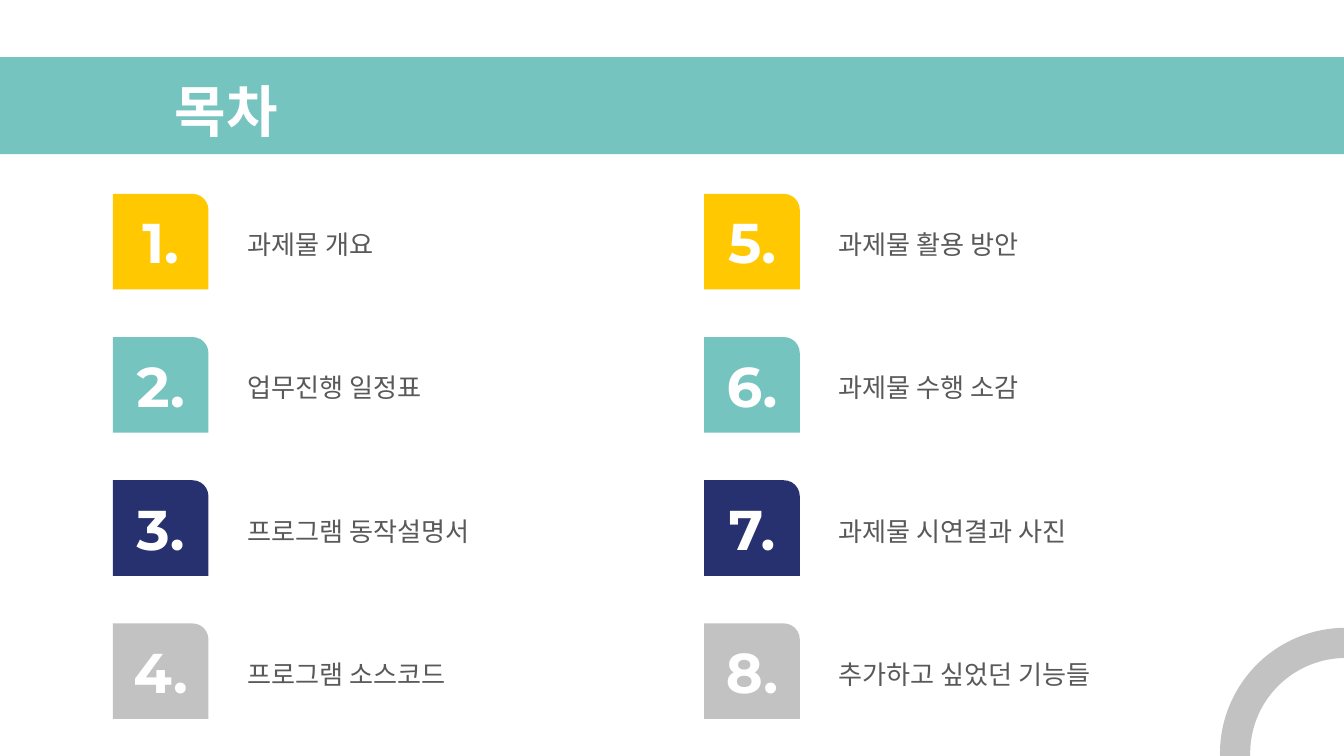
from typing import NamedTuple

from lxml.etree import SubElement
from pptx import Presentation
from pptx.dml.color import RGBColor
from pptx.enum.shapes import MSO_SHAPE
from pptx.enum.text import MSO_ANCHOR, MSO_AUTO_SIZE, PP_ALIGN
from pptx.oxml.ns import qn
from pptx.util import Pt

TEAL, GRAY, WHITE, TEXT_GRAY = "75C4C0", "C2C2C2", "FFFFFF", "595959"
ROW_COLORS = ["FFC800", TEAL, "27316F", GRAY]
KOREAN, LATIN = "Noto Sans CJK KR", "Montserrat"
TILE = 51.2
LEFT, TOP = 60.5, 103.9
COLUMN_STEP, ROW_STEP = 316.8, 76.7
INSET = 7.2


class Box(NamedTuple):
    left: float
    top: float
    width: float
    height: float


class Entry(NamedTuple):
    label: str
    label_width: float = 152.6


ENTRIES = [
    Entry("과제물 개요"),
    Entry("업무진행 일정표"),
    Entry("프로그램 동작설명서"),
    Entry("프로그램 소스코드"),
    Entry("과제물 활용 방안"),
    Entry("과제물 수행 소감"),
    Entry("과제물 시연결과 사진"),
    Entry("추가하고 싶었던 기능들", 192.2),
]


def color(value: str) -> RGBColor:
    return RGBColor.from_string(value)


def add_block(slide, kind, box: Box, fill: str, adjustments=()):
    shape = slide.shapes.add_shape(kind, *map(Pt, box))
    shape.shadow.inherit = False
    shape.fill.solid()
    shape.fill.fore_color.rgb = color(fill)
    shape.line.fill.background()
    for index, value in enumerate(adjustments):
        shape.adjustments[index] = value


def write(shape, text: str, font_name: str, size: float, text_color: str,
          bold: bool = False, align=PP_ALIGN.LEFT, anchor=MSO_ANCHOR.TOP):
    frame = shape.text_frame
    frame.word_wrap = True
    frame.auto_size = MSO_AUTO_SIZE.NONE
    frame.vertical_anchor = anchor
    frame.margin_left = frame.margin_right = Pt(INSET)
    frame.margin_top = frame.margin_bottom = Pt(INSET)
    frame.text = text
    paragraph = frame.paragraphs[0]
    paragraph.alignment = align
    font = paragraph.font
    font.name, font.size, font.bold = font_name, Pt(size), bold
    font.color.rgb = color(text_color)
    # Hangul takes its typeface from the East Asian font
    properties = paragraph._p.pPr.find(qn("a:defRPr"))
    SubElement(properties, qn("a:ea")).set("typeface", font_name)


def add_entry(slide, index: int, entry: Entry):
    column, row = divmod(index, len(ROW_COLORS))
    left = LEFT + column * COLUMN_STEP
    top = TOP + row * ROW_STEP
    add_block(slide, MSO_SHAPE.ROUND_1_RECTANGLE, Box(left, top, TILE, TILE),
              ROW_COLORS[row], [0.167])
    number_box = Box(left, top + 6.8, TILE, 37.4)
    number = slide.shapes.add_textbox(*map(Pt, number_box))
    write(number, f"{index + 1}.", LATIN, 30, WHITE, True,
          PP_ALIGN.CENTER, MSO_ANCHOR.MIDDLE)
    label_box = Box(left + 64.8, top + 11.4, entry.label_width, 22.3)
    label = slide.shapes.add_textbox(*map(Pt, label_box))
    write(label, entry.label, KOREAN, 14, TEXT_GRAY)


def main():
    presentation = Presentation()
    presentation.slide_width, presentation.slide_height = Pt(720), Pt(405)
    slide = presentation.slides.add_slide(presentation.slide_layouts[5])

    # Title band and corner arc
    add_block(slide, MSO_SHAPE.RECTANGLE, Box(-12.2, 30.6, 744.4, 52), TEAL)
    add_block(slide, MSO_SHAPE.BLOCK_ARC, Box(653.6, 336.4, 134.6, 134.6),
              GRAY, [106.77, 163.22, 0.12])

    # Title, brought in front of the band
    title = slide.shapes.title
    title.left, title.top, title.width, title.height = map(
        Pt, Box(86.4, 33.8, 609.1, 45.4))
    write(title, "목차", KOREAN, 30, WHITE, True)
    slide.shapes._spTree.append(title._element)

    # Numbered contents, filled column by column
    for index, entry in enumerate(ENTRIES):
        add_entry(slide, index, entry)

    presentation.save("out.pptx")


if __name__ == "__main__":
    main()
